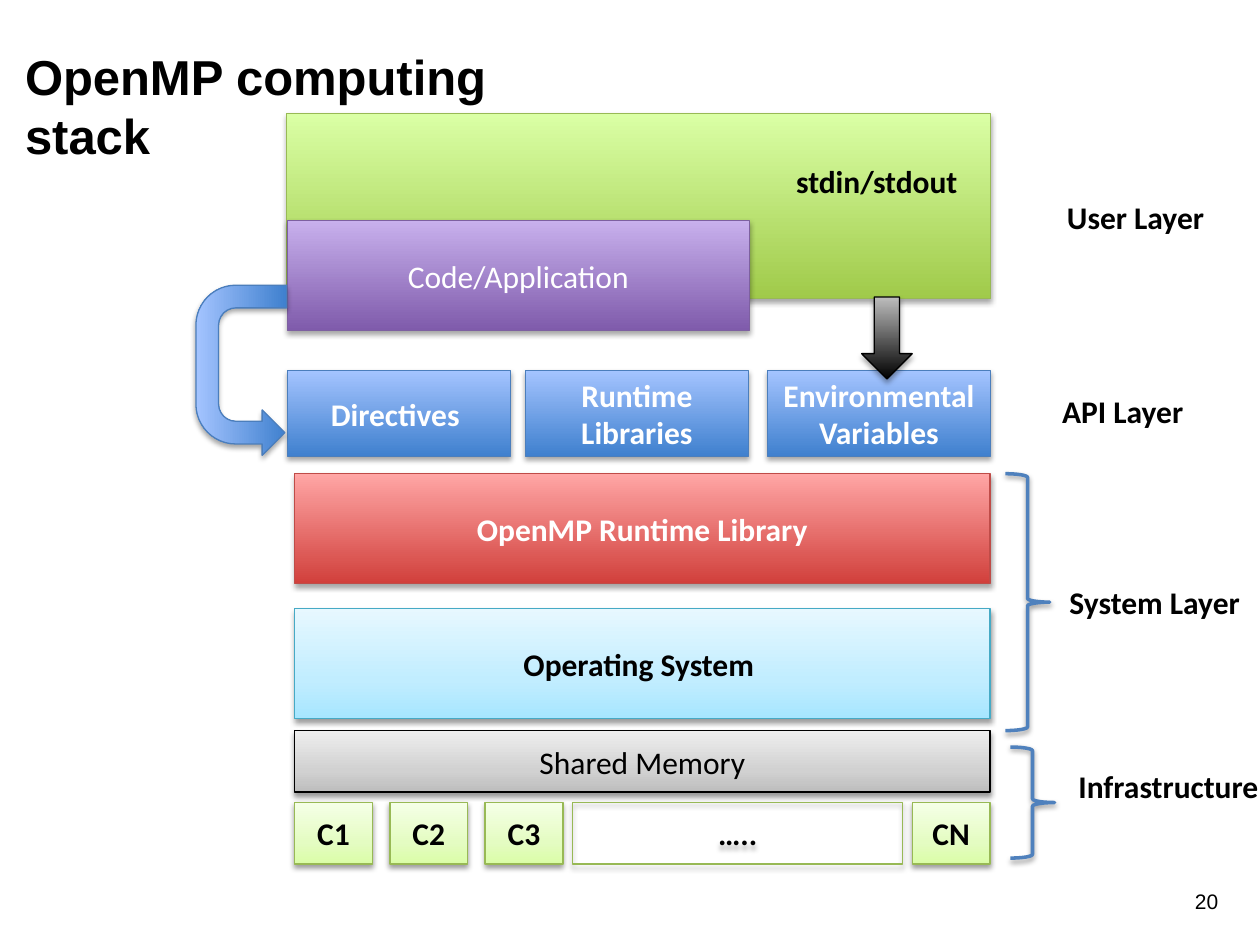
from lxml.etree import SubElement
from pptx import Presentation
from pptx.dml.color import RGBColor
from pptx.enum.shapes import MSO_SHAPE as Shape
from pptx.enum.text import MSO_ANCHOR as Anchor, MSO_AUTO_SIZE as AutoSize, PP_ALIGN as Align
from pptx.oxml.ns import qn
from pptx.util import Cm, Pt

THEME = {
    "title_size": 28, "body_size": 18, "number_size": 12,
    "title_font": "Arial", "body_font": "Calibri",
    "black": "000000", "white": "FFFFFF",
    "green": ([(0, "A0CA4A"), (100, "DAFFA5")], "98B955"),
    "purple": ([(0, "7F5BAB"), (100, "C8B0ED")], "7D60A0"),
    "blue": ([(0, "3F80CE"), (100, "A4C4FF")], "4B7EBC"),
    "red": ([(0, "D1403C"), (100, "FFA6A5")], "BF4C48"),
    "cyan": ([(0, "A7E6FF"), (35, "C1EDFF"), (100, "E7F8FF")], "46AAC5"),
    "gray": ([(0, "BDBDBD"), (35, "D1D1D1"), (100, "EEEEEE")], "000000"),
    "lime": ([(0, "DAFDA7"), (35, "E4FCC2"), (100, "F5FFE7")], "98B955"),
    "dark": ([(0, "000000"), (100, "BDBDBD")], "000000"),
    "outline": (None, "98B955"),
    "brace": (None, "4F81BD"),
}

TITLE = "OpenMP computing stack"
PAGE_NUMBER = "20"
STACK_LEFT, STACK_RIGHT = 5.94, 19.96
API_LEFTS, API_TOP, API_WIDTH, API_HEIGHT = (5.79, 10.59, 15.47), 7.47, 4.5, 1.73
CORE_TOP, CORE_WIDTH, CORE_HEIGHT, CORE_PITCH = 16.18, 1.57, 1.24, 1.92

USER_BLOCKS = [
    ("", (5.77, 2.29, 14.2, 3.73), "green", "white", False),
    ("Code/Application", (5.79, 4.45, 9.32, 2.21), "purple", "white", False),
]
API_PARTS = ["Directives ", "Runtime Libraries", "Environmental Variables"]
SYSTEM_BARS = [
    ("OpenMP Runtime Library", 9.55, 2.21, "red", "white", True),
    ("Operating System ", 12.27, 2.21, "cyan", "black", True),
    ("Shared Memory", 14.73, 1.24, "gray", "black", False),
]
FIRST_CORES = ["C1", "C2", "C3"]
LAST_CORE = "CN"
MORE_CORES = "….."
LABELS = [
    ("stdin/stdout", (15.8, 3.15, 3.81, 1.02)),
    ("System Layer", (21.31, 11.63, 4.04, 1.02)),
    ("API Layer", (21.16, 7.77, 3.0, 1.02)),
    ("User Layer", (21.26, 3.86, 3.33, 1.02)),
    ("Infrastructure", (21.49, 15.34, 4.22, 1.02)),
]
BRACES = [(20.27, 9.55, 0.89, 5.18), (20.37, 15.06, 0.89, 2.24)]


def write(shape, text, size="body_size", font="body_font", color="black",
          bold=True, align=Align.LEFT, anchor=Anchor.TOP, wrap=True):
    frame = shape.text_frame
    frame.auto_size = AutoSize.NONE
    frame.word_wrap = wrap
    frame.vertical_anchor = anchor
    para = frame.paragraphs[0]
    para.alignment = align
    span = para.add_run()
    span.text = text
    span.font.size = Pt(THEME[size])
    span.font.name = THEME[font]
    span.font.bold = bold
    span.font.color.rgb = RGBColor.from_string(THEME[color])


def paint_gradient(shape, stops):
    shape.fill.gradient()
    shape.fill.gradient_angle = 90
    stop_list = shape._element.spPr.find(".//" + qn("a:gsLst"))
    for old_stop in list(stop_list):
        stop_list.remove(old_stop)
    for position, color in stops:
        stop = SubElement(stop_list, qn("a:gs"), pos=str(position * 1000))
        SubElement(stop, qn("a:srgbClr"), val=color)


def cast_shadow(shape, opacity):
    shape.shadow.inherit = False
    effects = shape._element.spPr.find(qn("a:effectLst"))
    shadow = SubElement(effects, qn("a:outerShdw"), blurRad=str(Pt(3.1)),
                        dist=str(Pt(1.8)), dir="5400000", rotWithShape="0")
    color = SubElement(shadow, qn("a:srgbClr"), val=THEME["black"])
    SubElement(color, qn("a:alpha"), val=str(opacity * 1000))


def add_block(slide, kind, place, style, line_width=0.75):
    shape = slide.shapes.add_shape(kind, *map(Cm, place))
    stops, line_color = THEME[style]
    if stops:
        paint_gradient(shape, stops)
    else:
        shape.fill.background()
    shape.line.color.rgb = RGBColor.from_string(line_color)
    shape.line.width = Pt(line_width)
    cast_shadow(shape, 35 if stops and len(stops) == 2 else 38)
    return shape


def add_box(slide, text, place, style, color="black", bold=True):
    box = add_block(slide, Shape.RECTANGLE, place, style)
    if text:
        write(box, text, color=color, bold=bold, align=Align.CENTER, anchor=Anchor.MIDDLE)


def add_cores(slide):
    last_left = STACK_RIGHT - CORE_WIDTH
    lefts = [STACK_LEFT + index * CORE_PITCH for index in range(len(FIRST_CORES))]
    for name, left in zip(FIRST_CORES + [LAST_CORE], lefts + [last_left]):
        add_box(slide, name, (left, CORE_TOP, CORE_WIDTH, CORE_HEIGHT), "lime")
    gap = 0.19
    more_left = lefts[-1] + CORE_WIDTH + gap
    more_width = last_left - gap - more_left
    add_box(slide, MORE_CORES, (more_left, CORE_TOP, more_width, CORE_HEIGHT), "outline")


def add_arrows(slide):
    add_block(slide, Shape.DOWN_ARROW, (17.37, 5.99, 1.02, 1.65), "dark")
    turn = add_block(slide, Shape.U_TURN_ARROW, (3.15, 6.55, 3.43, 1.83), "blue")
    for index, value in enumerate((0.25, 0.25, 0.25, 0.44, 0.98)):
        turn.adjustments[index] = value
    turn.rotation = 270
    turn._element.spPr.find(qn("a:xfrm")).set("flipH", "1")


def main():
    deck = Presentation()
    deck.slide_width, deck.slide_height = Cm(25.4), Cm(19.05)
    slide = deck.slides.add_slide(deck.slide_layouts[5])

    title = slide.shapes.title
    title.left, title.top, title.width, title.height = map(Cm, (0.25, 0.81, 11.18, 1.45))
    write(title, TITLE, size="title_size", font="title_font")

    for text, place, style, color, bold in USER_BLOCKS:
        add_box(slide, text, place, style, color, bold)
    for text, left in zip(API_PARTS, API_LEFTS):
        add_box(slide, text, (left, API_TOP, API_WIDTH, API_HEIGHT), "blue", "white")
    for text, top, height, style, color, bold in SYSTEM_BARS:
        place = (STACK_LEFT, top, STACK_RIGHT - STACK_LEFT, height)
        add_box(slide, text, place, style, color, bold)
    add_cores(slide)
    add_arrows(slide)
    for place in BRACES:
        add_block(slide, Shape.RIGHT_BRACE, place, "brace", line_width=2)

    for text, place in LABELS:
        write(slide.shapes.add_textbox(*map(Cm, place)), text, wrap=False)
    number = slide.shapes.add_textbox(*map(Cm, (23.16, 17.65, 1.65, 1.02)))
    write(number, PAGE_NUMBER, size="number_size", font="title_font", bold=False,
          align=Align.RIGHT, anchor=Anchor.MIDDLE)

    deck.save("out.pptx")


if __name__ == "__main__":
    main()
